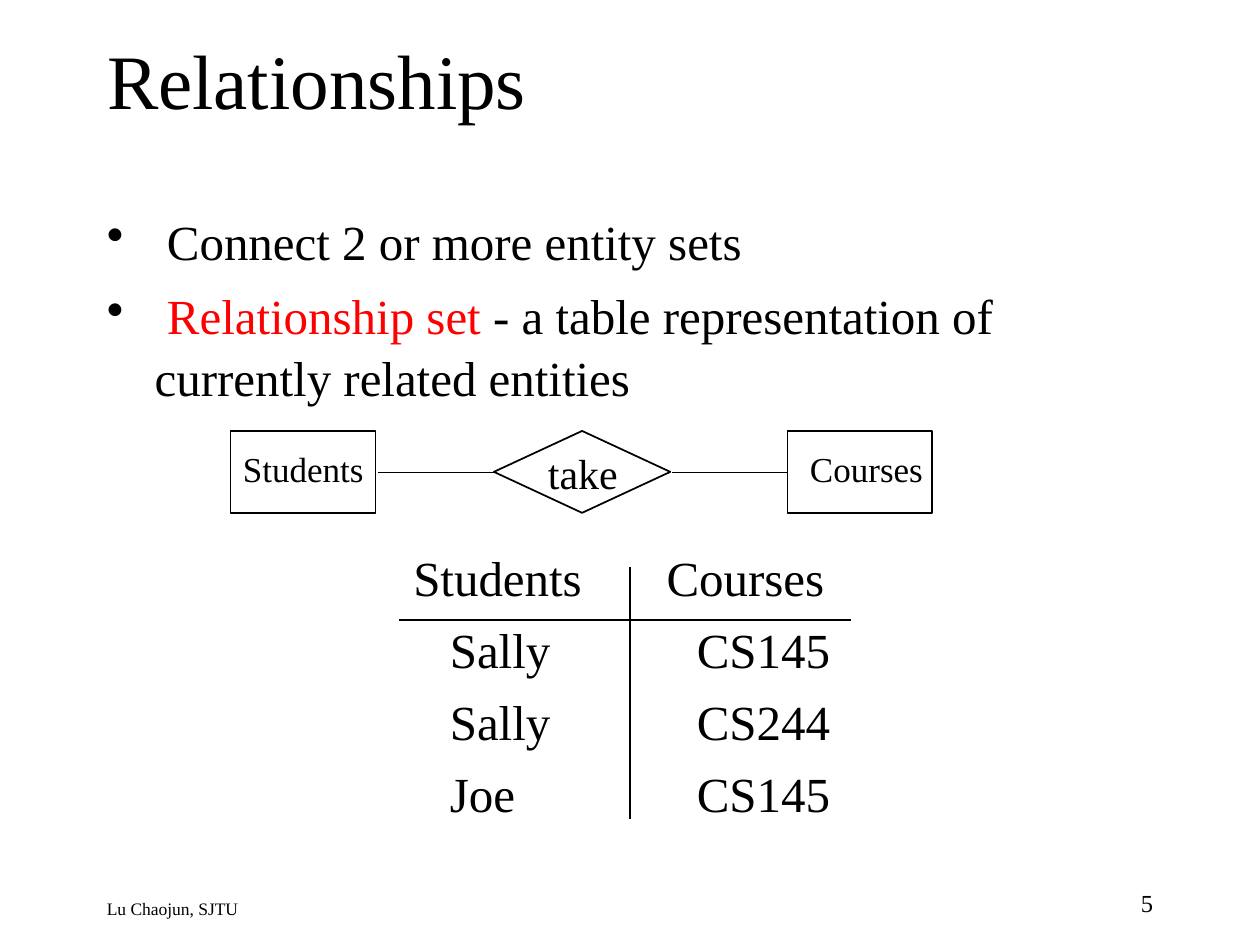
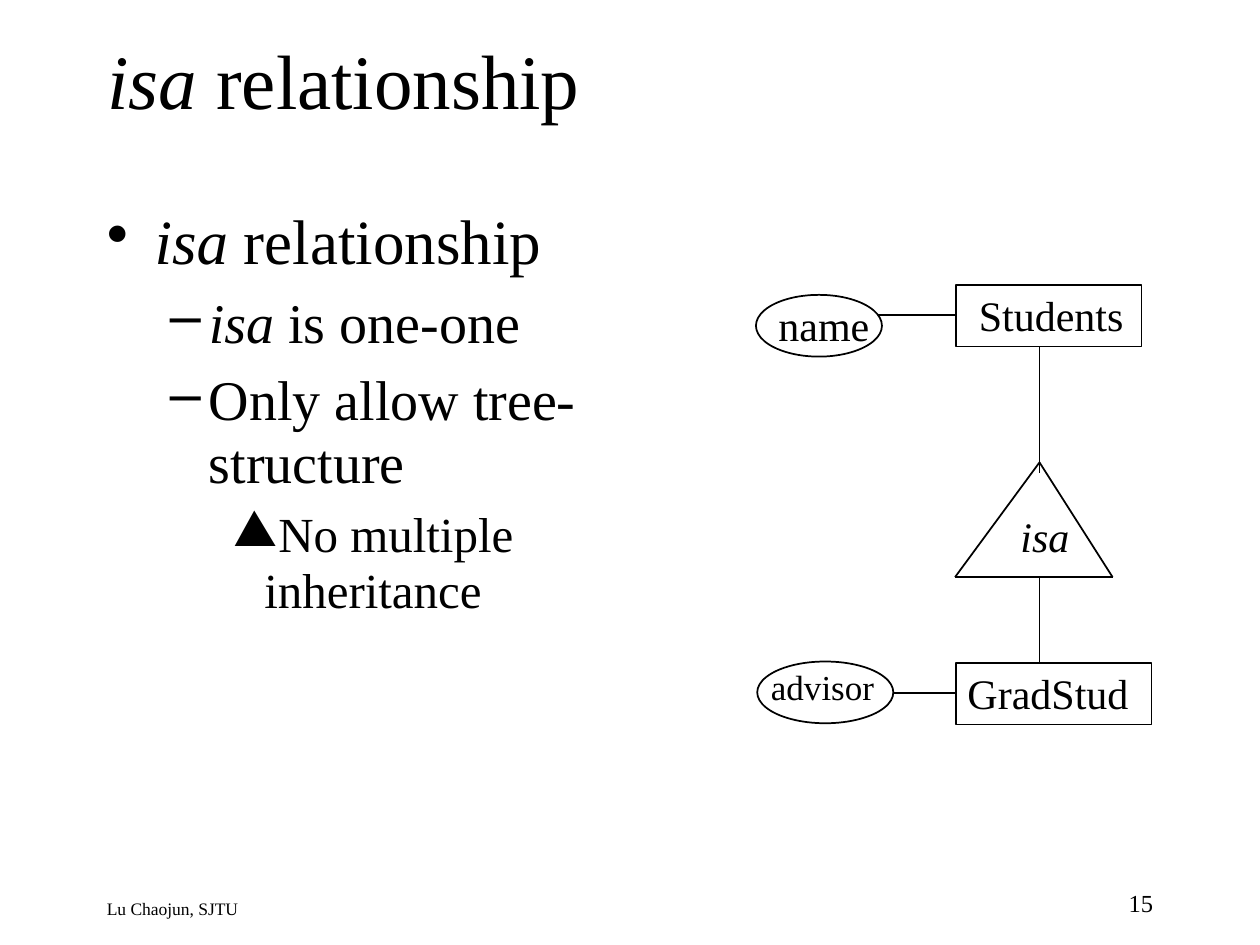
from dataclasses import dataclass
from itertools import combinations

from lxml import etree
from pptx import Presentation
from pptx.dml.color import RGBColor
from pptx.enum.shapes import MSO_CONNECTOR, MSO_SHAPE
from pptx.enum.text import MSO_ANCHOR, PP_ALIGN
from pptx.oxml.ns import qn
from pptx.util import Inches, Pt

LEFT, RIGHT = PP_ALIGN.LEFT, PP_ALIGN.RIGHT
TOP, MIDDLE = MSO_ANCHOR.TOP, MSO_ANCHOR.MIDDLE
RECTANGLE, DIAMOND, OVAL = MSO_SHAPE.RECTANGLE, MSO_SHAPE.DIAMOND, MSO_SHAPE.OVAL
STRAIGHT = MSO_CONNECTOR.STRAIGHT
TITLE_ONLY = 5


@dataclass(frozen=True)
class Theme:
    font: str = "Times New Roman"
    ink: RGBColor = RGBColor(0, 0, 0)
    paper: RGBColor = RGBColor(255, 255, 255)
    accent: RGBColor = RGBColor(255, 0, 0)
    title: int = 44
    heading: int = 36
    point: int = 32
    body: int = 28
    label: int = 24
    small_label: int = 20
    page_number: int = 14
    footer: int = 10
    line: int = 1


THEME = Theme()


def write_text(frame, *spans, size, align=LEFT, before=0, spacing=None,
               bullet=None, margin=0, hanging=0):
    first = not frame.paragraphs[0].runs
    para = frame.paragraphs[0] if first else frame.add_paragraph()
    if bullet:
        properties = para._p.get_or_add_pPr()
        properties.set("marL", str(Inches(margin)))
        properties.set("indent", str(-Inches(hanging)))
        etree.SubElement(properties, qn("a:buChar")).set("char", bullet)
    para.alignment = align
    para.space_before = Pt(0 if first else before)
    if spacing:
        para.line_spacing = spacing
    for span in spans:
        text, style = (span, {}) if isinstance(span, str) else span
        run = para.add_run()
        run.text = text
        run.font.name = THEME.font
        run.font.size = Pt(size)
        run.font.bold = False
        run.font.italic = style.get("italic", False)
        run.font.color.rgb = style.get("color", THEME.ink)


def italic(text):
    return text, {"italic": True}


def add_box(page, left, top, width, height):
    box = page.shapes.add_textbox(Inches(left), Inches(top), Inches(width), Inches(height))
    box.text_frame.word_wrap = True
    box.text_frame.vertical_anchor = TOP
    return box.text_frame


def add_label(page, text, left, top, width, size=THEME.label):
    write_text(add_box(page, left, top, width, 0.5), text, size=size)


def add_node(page, kind, left, top, width, height):
    node = page.shapes.add_shape(kind, Inches(left), Inches(top), Inches(width), Inches(height))
    node.shadow.inherit = False
    node.fill.solid()
    node.fill.fore_color.rgb = THEME.paper
    node.line.color.rgb = THEME.ink
    node.line.width = Pt(THEME.line)


def add_line(page, start, end):
    line = page.shapes.add_connector(STRAIGHT, *map(Inches, start + end))
    line.line.color.rgb = THEME.ink
    line.line.width = Pt(THEME.line)
    etree.SubElement(line._element.spPr, qn("a:effectLst"))


def add_page(deck, number, *title_spans):
    page = deck.slides.add_slide(deck.slide_layouts[TITLE_ONLY])
    title = page.shapes.title
    title.left, title.top = Inches(0.75), Inches(0)
    title.width, title.height = Inches(8.5), Inches(1.25)
    title.text_frame.vertical_anchor = MIDDLE
    write_text(title.text_frame, *title_spans, size=THEME.title)
    write_text(add_box(page, 0.75, 7.08, 5.8, 0.25), "Lu Chaojun, SJTU", size=THEME.footer)
    write_text(add_box(page, 7.17, 7, 2.08, 0.33), str(number),
               size=THEME.page_number, align=RIGHT)
    return page


def add_relationship_table(page, rows):
    left, top, row_height = 3.17, 4.32, 0.57
    widths = (1.83, 1.75)
    table = page.shapes.add_table(len(rows), len(widths), Inches(left), Inches(top),
                                  Inches(sum(widths)), Inches(row_height * len(rows))).table
    table.first_row = table.horz_banding = False
    for column, width in zip(table.columns, widths):
        column.width = Inches(width)
    for row_index, row in enumerate(rows):
        table.rows[row_index].height = Inches(row_height)
        indents = (0.4, 0.53) if row_index else (0.11, 0.29)
        for column_index, text in enumerate(row):
            cell = table.cell(row_index, column_index)
            cell.fill.background()
            cell.vertical_anchor = MIDDLE
            cell.margin_left = Inches(indents[column_index])
            cell.margin_right = cell.margin_top = cell.margin_bottom = 0
            write_text(cell.text_frame, text, size=THEME.body)
    add_line(page, (left, 4.92), (6.75, 4.92))
    add_line(page, (5, 4.5), (5, 6.5))


def build_relationships(deck):
    page = add_page(deck, 5, "Relationships")
    body = add_box(page, 0.75, 1.61, 8.5, 1.7)
    bullet = dict(size=THEME.body, before=7, spacing=1.05, bullet="•", margin=0.38, hanging=0.38)
    write_text(body, " Connect 2 or more entity sets", **bullet)
    write_text(body, " ", ("Relationship set", {"color": THEME.accent}),
               " - a table representation of currently related entities", **bullet)
    add_relationship_table(page, [("Students", "Courses"), ("Sally", "CS145"),
                                  ("Sally", "CS244"), ("Joe", "CS145")])
    for kind, left, width in ((RECTANGLE, 1.83, 1.15), (DIAMOND, 3.92, 1.4),
                              (RECTANGLE, 6.25, 1.15)):
        add_node(page, kind, left, 3.42, width, 0.65)
    for start, end in ((3, 3.92), (5.33, 6.25)):
        add_line(page, (start, 3.75), (end, 3.75))
    add_label(page, "Students", 1.83, 3.5, 1.33, THEME.small_label)
    add_label(page, "take", 4.25, 3.5, 1.08)
    add_label(page, "Courses", 6.33, 3.5, 1.17, THEME.small_label)


def build_isa(deck):
    isa = italic("isa")
    page = add_page(deck, 15, isa, " relationship")
    body = add_box(page, 0.75, 1.6, 5.17, 5.15)
    tight = dict(spacing=0.94)
    point = dict(size=THEME.point, before=8, bullet="–", margin=0.81, hanging=0.31, **tight)
    write_text(body, isa, " relationship", size=THEME.heading,
               bullet="•", margin=0.38, hanging=0.38, **tight)
    write_text(body, isa, " is one-one", **point)
    write_text(body, "Only allow tree-structure", **point)
    write_text(body, "No multiple inheritance", size=THEME.body, before=7,
               bullet="▲", margin=1.25, hanging=0.25, **tight)

    triangle = ((8.25, 3.67), (7.58, 4.58), (8.83, 4.58))
    for start, end in combinations(triangle, 2):
        add_line(page, start, end)
    for start, end in (((8.25, 2.75), (8.25, 3.75)), ((8.25, 4.58), (8.25, 5.25)),
                       ((6.92, 2.5), (7.58, 2.5)), ((7.08, 5.5), (7.58, 5.5))):
        add_line(page, start, end)
    for kind, left, top, width in ((RECTANGLE, 7.59, 2.26, 1.47), (RECTANGLE, 7.59, 5.26, 1.55),
                                   (OVAL, 6, 2.34, 1), (OVAL, 6.01, 5.25, 1.08)):
        add_node(page, kind, left, top, width, 0.49)
    add_label(page, "Students", 7.67, 2.25, 1.63)
    add_label(page, "GradStud", 7.58, 5.25, 1.58)
    write_text(add_box(page, 8, 4, 0.75, 0.5), isa, size=THEME.label)
    add_label(page, "name", 6.08, 2.33, 1.17)
    add_label(page, "advisor", 6.02, 5.23, 1.39, THEME.small_label)


def main():
    deck = Presentation()
    deck.slide_width, deck.slide_height = Inches(10), Inches(7.5)
    build_relationships(deck)
    build_isa(deck)
    deck.save("out.pptx")


if __name__ == "__main__":
    main()
